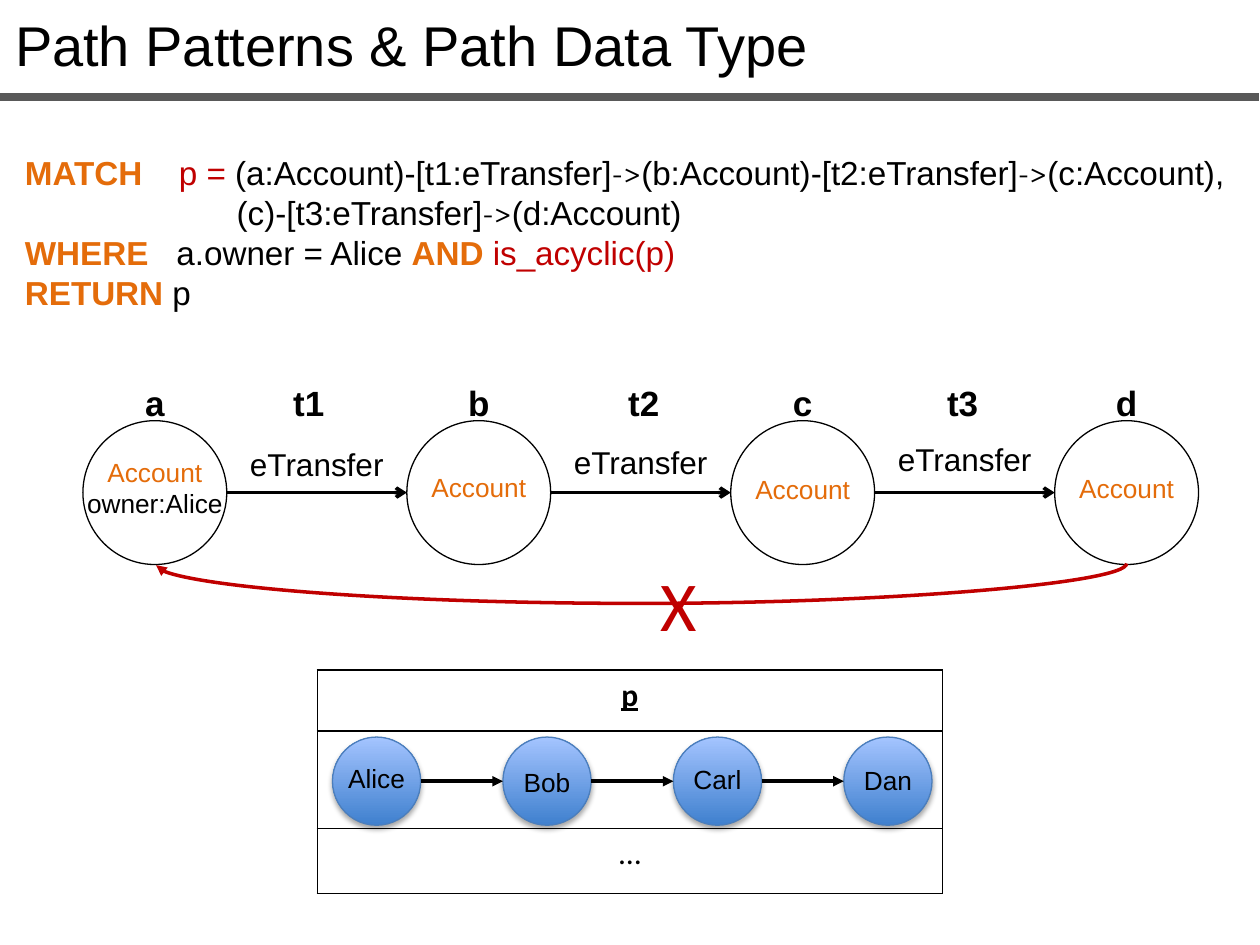
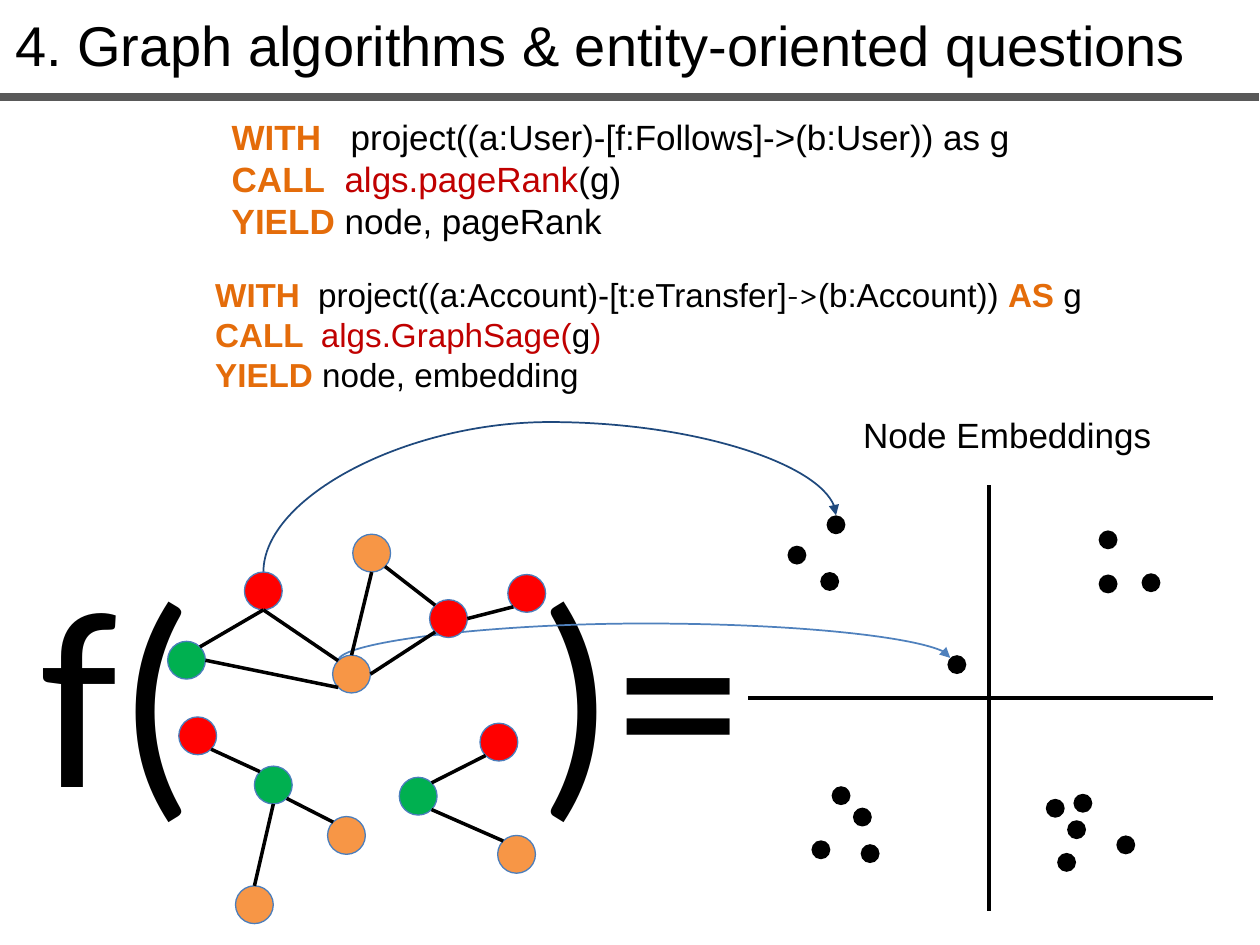
from dataclasses import dataclass
from math import cos, radians, sin

from lxml.etree import SubElement as Sub
from pptx import Presentation
from pptx.dml.color import RGBColor
from pptx.enum.shapes import MSO_CONNECTOR as Link, MSO_SHAPE as Form
from pptx.enum.text import MSO_ANCHOR as Anchor, MSO_AUTO_SIZE as Fit, PP_ALIGN as Align
from pptx.oxml.ns import qn
from pptx.util import Pt


@dataclass(frozen=True)
class Theme:
    ink: str = "000000"
    key: str = "E46C0A"
    hot: str = "C00000"
    rule: str = "595959"
    rim: str = "4B7EBC"
    low: str = "3F80CE"
    high: str = "A4C4FF"
    red: str = "FF0000"
    green: str = "00B050"
    amber: str = "F79646"
    navy: str = "1F497D"
    blue: str = "4F81BD"
    sans: str = "Arial"
    plain: str = "Calibri"
    serif: str = "Cambria"
    title: int = 32
    code: int = 19
    head: int = 20
    body: int = 18
    small: int = 15
    cross: int = 40
    giant: int = 145


T = Theme()
KEY = {"color": T.key, "bold": True}
HOT = {"color": T.hot}
ARROW = {"face": T.serif}
WIDE = {"face": T.serif, "size": T.head}

TITLES = ["Path Patterns & Path Data Type",
          "4. Graph algorithms & entity-oriented questions"]

MATCH = [
    [("MATCH", KEY), "\t", ("p =", HOT), " (a:Account)-[t1:eTransfer]", ("->", ARROW),
     "(b:Account)-[t2:eTransfer]", ("->", ARROW), "(c:Account),"],
    ["\t(c)-[t3:eTransfer]", ("->", ARROW), "(d:Account)"],
    [("WHERE", KEY), "\ta.owner = Alice ", ("AND ", KEY), ("is_acyclic(p)", HOT)],
    [("RETURN ", KEY), "p"],
]
RANK = [
    [("WITH", KEY), "\tproject((a:User)-[f:Follows]->(b:User)) as g"],
    [("CALL", KEY), "\t", ("algs.pageRank", HOT), "(g)"],
    [("YIELD", KEY), " node, pageRank"],
]
SAGE = [
    [("WITH", KEY), "\tproject((a:Account)-[t:eTransfer]", ("->", WIDE),
     "(b:Account)) ", ("AS", KEY), " g"],
    [("CALL", KEY), "\t", ("algs.GraphSage(", HOT), "g", (")", HOT)],
    [("YIELD ", KEY), "node, embedding"],
]

KIND = [("Account", {"color": T.key})]
STOPS = [("a", [KIND, ["owner:Alice"]], 257), ("b", [KIND], 265.7),
         ("c", [KIND], 267.1), ("d", [KIND], 266.4)]
HOPS = [("t1", 176.4, 250.6), ("t2", 367.9, 249.8), ("t3", 550.1, 247.7)]
PEOPLE = [("Alice", 432), ("Bob", 434.2), ("Carl", 432.7), ("Dan", 433.4)]
ROWS = [("p", 34.8), ("", 55.6), ("…", 37.2)]

NODES = {
    "A": (150.5, 337.7, T.red), "B": (200.9, 385.2, T.amber),
    "C": (106.6, 377.3, T.green), "D": (212.4, 316.1, T.amber),
    "E": (256.3, 353.5, T.red), "F": (301, 339.1, T.red),
    "G": (113, 420.5, T.red), "H": (156.2, 448.6, T.green),
    "I": (198, 477.4, T.amber), "J": (145.4, 517, T.amber),
    "K": (239, 455, T.green), "L": (285.1, 424.1, T.red),
    "M": (295.2, 488.2, T.amber),
}
TOP, TOPLEFT, LEFT, LOWLEFT, LOW, LOWRIGHT, RIGHT, TOPRIGHT = range(8)
EDGES = [
    ("A", LOW, "B", TOPLEFT), ("C", TOPRIGHT, "A", LOW), ("B", RIGHT, "E", LOWLEFT),
    ("C", RIGHT, "B", LOWLEFT), ("H", LOWRIGHT, "I", TOPLEFT), ("B", TOP, "D", LOW),
    ("E", TOPLEFT, "D", LOWRIGHT), ("L", LOWLEFT, "K", TOPRIGHT),
    ("M", TOPLEFT, "K", LOWRIGHT), ("H", LOW, "J", TOP), ("H", TOPLEFT, "G", LOWRIGHT),
    ("E", RIGHT, "F", LOWLEFT),
]
NEAR, LONE = (477.7, 299.9), (546.8, 379.8)
DOTS = [
    NEAR, LONE, (455.4, 317.2), (474.1, 332.3), (633.2, 308.5), (633.2, 333.7),
    (657.7, 333), (480.6, 454.7), (492.8, 466.9), (469.1, 485.6), (497.2, 487.8),
    (603, 461.9), (615.2, 474.1), (618.8, 459), (609.5, 492.8), (643.3, 482.8),
]


def rgb(code):
    return RGBColor.from_string(code)


def put(frame, lines, size=T.body, color=T.ink, face=T.sans, bold=False,
        under=False, align=Align.LEFT, tabs=(), space=None):
    if isinstance(lines, str):
        lines = [[lines]]
    for i, line in enumerate(lines):
        para = frame.paragraphs[0] if i == 0 else frame.add_paragraph()
        if i < len(tabs):
            stops = Sub(para._p.get_or_add_pPr(), qn("a:tabLst"))
            Sub(stops, qn("a:tab"), pos=str(Pt(tabs[i])), algn="l")
        para.alignment = align
        if space:
            para.line_spacing = space
        for part in line:
            text, own = (part, {}) if isinstance(part, str) else part
            run = para.add_run()
            run.text = text
            font = run.font
            font.size = Pt(own.get("size", size))
            font.name = own.get("face", face)
            font.bold = own.get("bold", bold)
            font.underline = under
            font.color.rgb = rgb(own.get("color", color))


def box(slide, x, y, w, h):
    frame = slide.shapes.add_textbox(Pt(x), Pt(y), Pt(w), Pt(h)).text_frame
    frame.word_wrap = True
    frame.auto_size = Fit.SHAPE_TO_FIT_TEXT
    return frame


def label(slide, text, mid, y, w, h, **look):
    put(box(slide, mid - w / 2, y, w, h), text, align=Align.CENTER, **look)


def disc(slide, x, y, r, fill=None, line=None):
    shape = slide.shapes.add_shape(Form.OVAL, Pt(x - r), Pt(y - r), Pt(2 * r), Pt(2 * r))
    shape.shadow.inherit = False
    if fill:
        shape.fill.solid()
        shape.fill.fore_color.rgb = rgb(fill)
    else:
        shape.fill.background()
    if line:
        shape.line.color.rgb = rgb(line)
        shape.line.width = Pt(0.75)
    else:
        shape.line.fill.background()
    return shape


def gloss(shape):
    shape.fill.gradient()
    shape.fill.gradient_angle = 90
    for stop, color in zip(shape.fill.gradient_stops, (T.low, T.high)):
        stop.color.rgb = rgb(color)
    effect = shape._element.spPr.find(qn("a:effectLst"))
    shade = Sub(effect, qn("a:outerShdw"), blurRad=str(Pt(3.1)), dist=str(Pt(1.8)),
                dir="5400000", rotWithShape="0")
    Sub(Sub(shade, qn("a:srgbClr"), val=T.ink), qn("a:alpha"), val="35000")


def wire(slide, start, end, color=T.ink, width=2, tip=None, form=Link.STRAIGHT):
    line = slide.shapes.add_connector(form, *(Pt(v) for v in (*start, *end)))
    line.line.color.rgb = rgb(color)
    line.line.width = Pt(width)
    if tip:
        Sub(line.line._get_or_add_ln(), qn("a:tailEnd"), type=tip)
    Sub(line._element.spPr, qn("a:effectLst"))
    return line


def bow(slide, start, end, peak, color, width):
    (x1, y1), (x2, y2) = start, end
    w, h = abs(y2 - y1), abs(x2 - x1)
    x, y = (x1 + x2 - w) / 2, (y1 + y2 - h) / 2
    line = wire(slide, (x, y), (x + w, y + h), color, width, "triangle", Link.CURVE)
    props = line._element.spPr
    frame = props.find(qn("a:xfrm"))
    frame.set("rot", "5400000")
    if x2 > x1:
        frame.set("flipH", "1")
        frame.set("flipV", "1")
    guides = props.find(qn("a:prstGeom")).find(qn("a:avLst"))
    bend = round(abs(peak - y1) / w * 100000)
    Sub(guides, qn("a:gd"), name="adj1", fmla=f"val {bend}")


def site(mid, r, side):
    turn = radians(45 * side)
    return mid[0] - r * sin(turn), mid[1] - r * cos(turn)


def start(deck, text):
    slide = deck.slides.add_slide(deck.slide_layouts[5])
    title = slide.shapes.title
    title.left, title.top, title.width, title.height = Pt(1.4), Pt(2.2), Pt(716), Pt(46)
    frame = title.text_frame
    frame.auto_size = Fit.NONE
    frame.vertical_anchor = Anchor.MIDDLE
    put(frame, text, size=T.title)
    wire(slide, (-0.7, 55.4), (719.3, 55.4), T.rule, 4.5)
    return slide


def grid(slide):
    high = sum(h for _, h in ROWS)
    table = slide.shapes.add_table(len(ROWS), 1, Pt(181.4), Pt(383), Pt(357.1), Pt(high)).table
    table.first_row = table.horz_banding = False
    for i, (text, h) in enumerate(ROWS):
        table.rows[i].height = Pt(h)
        cell = table.cell(i, 0)
        if text:
            put(cell.text_frame, text, face=T.plain, bold=i == 0, under=i == 0,
                align=Align.CENTER)
        props = cell._tc.get_or_add_tcPr()
        for side in ("lnL", "lnR", "lnT", "lnB"):
            edge = Sub(props, qn("a:" + side), w=str(Pt(1)))
            Sub(Sub(edge, qn("a:solidFill")), qn("a:srgbClr"), val=T.ink)
        cell.fill.background()


def paths(deck):
    slide = start(deck, TITLES[0])
    put(box(slide, 7.2, 83.5, 705.6, 99.4), MATCH, size=T.code, tabs=(88, 121, 86.6))
    grid(slide)

    r, gap, y = 25.2, 97.4, 446.4
    for i, (name, top) in enumerate(PEOPLE):
        x = 215.2 + i * gap
        gloss(disc(slide, x, y, r, T.low, T.rim))
        if i:
            wire(slide, (x - gap + r, y), (x - r, y), tip="triangle")
        label(slide, name, x, top, 2 * r, 25.2, size=T.small)

    r, gap, x0, y = 41.1, 185.1, 88.5, 281.5
    for i, (name, text, top) in enumerate(STOPS):
        x = x0 + i * gap
        disc(slide, x, y, r, line=T.ink)
        label(slide, text, x, top, 102, 25.2 if len(text) == 1 else 44, size=T.small)
        label(slide, name, x, 214.6, 58, 31.7, size=T.head, bold=True)
    for i, (name, mid, top) in enumerate(HOPS):
        x = x0 + i * gap
        wire(slide, (x + r, y), (x + gap - r, y), tip="arrow")
        label(slide, "eTransfer", x + gap / 2, top, 102, 28.8)
        label(slide, name, mid, 214.6, 82, 31.7, size=T.head, bold=True)
    bow(slide, (x0 + 3 * gap, 322), (x0 + 0.7, 323), 345, T.hot, 2)
    label(slide, "X", 388, 317.5, 48, 55.4, size=T.cross, color=T.hot, face=T.plain)


def embed(deck):
    slide = start(deck, TITLES[1])
    put(box(slide, 125.3, 62.6, 468.7, 79.9), RANK, size=T.head, tabs=(68, 64.5))
    put(box(slide, 115.9, 151.9, 514.8, 77.8), SAGE, size=T.code, tabs=(58.8, 60.4))
    put(box(slide, 15.8, 301.7, 425, 182.9), "f(\t)=", size=T.giant, face=T.plain, tabs=(285,))
    wire(slide, (565.2, 277.2), (565.2, 520.6))
    wire(slide, (427.7, 398.9), (693.4, 398.9))

    r, dot = 10.8, 5.4
    mids = {name: (x, y) for name, (x, y, _) in NODES.items()}
    for x, y in DOTS:
        disc(slide, x, y, dot, T.ink)
    bow(slide, site(mids["A"], r, TOP), site(NEAR, dot, TOP), 241.2, T.navy, 1)
    bow(slide, site(mids["B"], r, TOPLEFT), site(LONE, dot, TOPLEFT), 356.4, T.blue, 1)
    label(slide, "Node Embeddings", 575.6, 221, 206.6, 40.3, size=T.head, space=1.5)
    for x, y, color in NODES.values():
        disc(slide, x, y, r, color, T.rim)
    for a, out, b, into in EDGES:
        wire(slide, site(mids[a], r, out), site(mids[b], r, into))


def main():
    deck = Presentation()
    deck.slide_width, deck.slide_height = Pt(720), Pt(540)
    paths(deck)
    embed(deck)
    deck.save("out.pptx")


if __name__ == "__main__":
    main()
